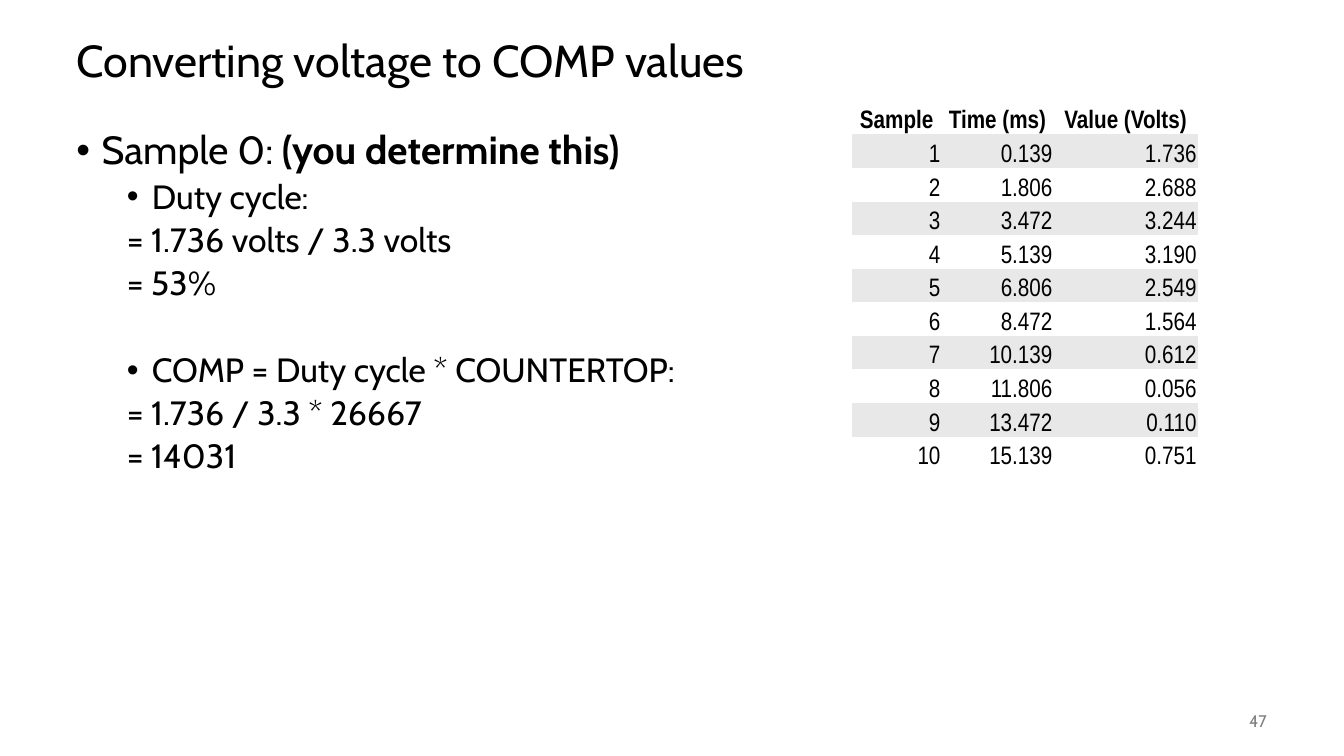
from lxml.etree import SubElement
from pptx import Presentation
from pptx.dml.color import RGBColor
from pptx.enum.text import MSO_ANCHOR, PP_ALIGN
from pptx.oxml.ns import qn
from pptx.util import Pt

# Content
TITLE = "Converting voltage to COMP values"
PAGE = "47"
# Each line: runs of (text, bold), size, left margin, bulleted, space before
LINES = [
    ([("Sample 0: ", False), ("(you determine this)", True)], 28, 18, True, 0),
    ([("Duty cycle:", False)], 24, 54, True, 5),
    ([("= 1.736 volts / 3.3 volts", False)], 24, 36, False, 5),
    ([("= 53%", False)], 24, 36, False, 5),
    ([("COMP = Duty cycle * COUNTERTOP:", False)], 24, 54, True, 36),
    ([("= 1.736 / 3.3 * 26667", False)], 24, 36, False, 5),
    ([("= 14031", False)], 24, 36, False, 5),
]
SAMPLES = [
    ("Sample", "Time (ms)", "Value (Volts)"),
    ("1", "0.139", "1.736"),
    ("2", "1.806", "2.688"),
    ("3", "3.472", "3.244"),
    ("4", "5.139", "3.190"),
    ("5", "6.806", "2.549"),
    ("6", "8.472", "1.564"),
    ("7", "10.139", "0.612"),
    ("8", "11.806", "0.056"),
    ("9", "13.472", "0.110"),
    ("10", "15.139", "0.751"),
]

# Format
BLACK = RGBColor(0x00, 0x00, 0x00)
GRAY = RGBColor(0x80, 0x80, 0x80)
BAND = RGBColor(0xE8, 0xE8, 0xE8)
TEXT_FONT, TABLE_FONT = "Cabin", "Arial Narrow"
LEFT, WIDTH = 47.5, 864
COL_WIDTHS = (64, 80, 103)
ROW_HEIGHT = 24
NO_STYLE = "{2D5ABB26-0587-4C30-8999-92F81FD0307C}"


def add_text(p, text, size=24, font=TEXT_FONT, color=BLACK, bold=False,
             align=PP_ALIGN.LEFT):
    p.alignment = align
    r = p.add_run()
    r.text = text
    r.font.name, r.font.size, r.font.bold = font, Pt(size), bold
    r.font.color.rgb = color


def add_box(s, left, top, width, height, anchor=MSO_ANCHOR.TOP):
    tf = s.shapes.add_textbox(Pt(left), Pt(top), Pt(width), Pt(height)).text_frame
    tf.word_wrap = True
    tf.vertical_anchor = anchor
    return tf


def set_indent(p, margin, bulleted):
    pPr = p._p.get_or_add_pPr()
    pPr.set("marL", str(Pt(margin)))
    pPr.set("indent", str(Pt(-18 if bulleted else 0)))
    if bulleted:
        SubElement(pPr, qn("a:buFont")).set("typeface", "Arial")
        SubElement(pPr, qn("a:buChar")).set("char", "•")


prs = Presentation()
prs.slide_width, prs.slide_height = Pt(960), Pt(540)
s = prs.slides.add_slide(prs.slide_layouts[5])

# Title
title = s.shapes.title
title.left, title.top, title.width, title.height = Pt(LEFT), Pt(18), Pt(WIDTH), Pt(54)
title.text_frame.vertical_anchor = MSO_ANCHOR.MIDDLE
p = title.text_frame.paragraphs[0]
p.line_spacing = 0.9
add_text(p, TITLE, size=32)

# Worked example
tf = add_box(s, LEFT, 90, WIDTH, 396)
for i, (runs, size, margin, bulleted, before) in enumerate(LINES):
    p = tf.add_paragraph() if i else tf.paragraphs[0]
    set_indent(p, margin, bulleted)
    p.line_spacing = 0.9
    p.space_before = Pt(before)
    for text, bold in runs:
        add_text(p, text, size=size, bold=bold)

# Page number
tf = add_box(s, 840, 500.5, 72, 29, anchor=MSO_ANCHOR.MIDDLE)
add_text(tf.paragraphs[0], PAGE, size=12, color=GRAY, align=PP_ALIGN.RIGHT)

# Sample table
table = s.shapes.add_table(len(SAMPLES), len(COL_WIDTHS), Pt(608.5), Pt(72),
                           Pt(sum(COL_WIDTHS)), Pt(ROW_HEIGHT * len(SAMPLES))).table
table._tbl.tblPr.find(qn("a:tableStyleId")).text = NO_STYLE
table.horz_banding = False
for column, width in zip(table.columns, COL_WIDTHS):
    column.width = Pt(width)
for i, values in enumerate(SAMPLES):
    table.rows[i].height = Pt(ROW_HEIGHT)
    for j, value in enumerate(values):
        cell = table.cell(i, j)
        cell.margin_left = cell.margin_right = cell.margin_top = Pt(0.75)
        cell.margin_bottom = 0
        cell.vertical_anchor = MSO_ANCHOR.BOTTOM
        if i % 2:
            cell.fill.solid()
            cell.fill.fore_color.rgb = BAND
        else:
            cell.fill.background()
        add_text(cell.text_frame.paragraphs[0], value, size=18, font=TABLE_FONT,
                 bold=i == 0, align=PP_ALIGN.RIGHT if i else PP_ALIGN.CENTER)

prs.save("out.pptx")
